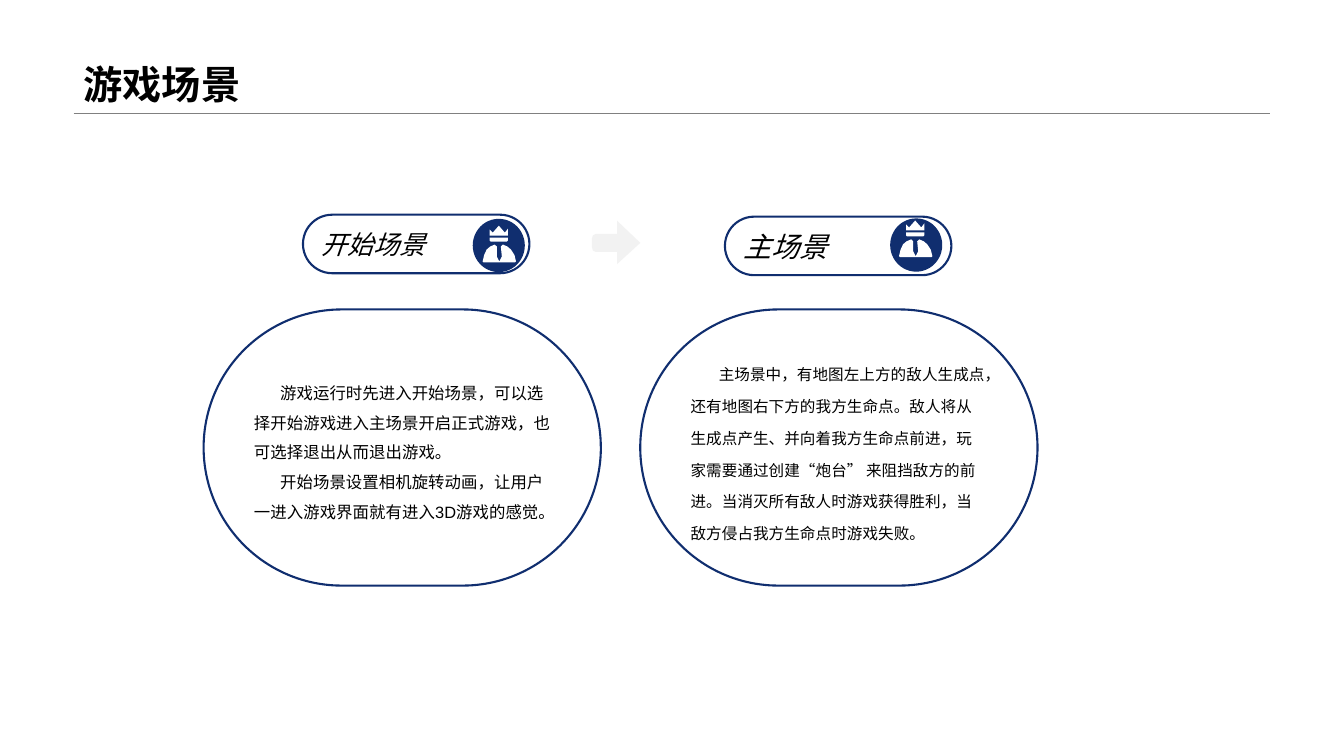
from lxml.etree import SubElement
from pptx import Presentation
from pptx.dml.color import RGBColor
from pptx.enum.shapes import MSO_CONNECTOR, MSO_SHAPE
from pptx.enum.text import MSO_ANCHOR, MSO_AUTO_SIZE, PP_ALIGN
from pptx.oxml.ns import qn
from pptx.util import Inches, Pt

NAVY = RGBColor(0x10, 0x2E, 0x6F)
BLACK = RGBColor(0, 0, 0)
WHITE = RGBColor(0xFF, 0xFF, 0xFF)
GRAY = RGBColor(0x80, 0x80, 0x80)
PALE = RGBColor(0xF2, 0xF2, 0xF2)
FONT = "Arial"

ARROW_GRID = (48, 43)
ARROW = [[(25, 0), (48, 22), (25, 43), (25, 31), (4, 31), (1, 29.5), (0, 26),
          (0, 18), (1, 14.5), (4, 13), (25, 13)]]
EMBLEM_GRID = (33, 37)
SUIT = [(12, 19), (14, 21), (14, 31), (16.5, 36), (19, 31), (18, 21), (20, 19),
        (24.5, 21), (28, 24), (31.5, 29.5), (33, 36), (32, 37), (1, 37),
        (0, 36), (1.5, 29.5), (4, 24), (7.5, 21)]
BAND = [(7, 12), (25, 12), (25, 15), (24, 16), (8, 16), (7, 15)]
CROWN = [(16, 0), (22, 7), (25, 3), (25, 10), (7, 10), (7, 4), (10, 7)]

SCENES = [
    dict(left=15.15, pill=(25, -34.3), badge=(75, 7), emblem=(19, 13),
         name="开始场景", name_size=18.5, size=11.7, spacing=1.5, indent=0.26,
         lines=["游戏运行时先进入开始场景，可以选择开始游戏进入主场景开启正式游戏，也可选择退出从而退出游戏。",
                "开始场景设置相机旋转动画，让用户一进入游戏界面就有进入3D游戏的感觉。"]),
    dict(left=47.64, pill=(21.3, -33.6), badge=(73, 3), emblem=(17, 4),
         name="主场景", name_size=20, size=11.1, spacing=1.7, indent=0.28,
         lines=["主场景中，有地图左上方的敌人生成点，还有地图右下方的我方生命点。敌人将从生成点产生、"
                "并向着我方生命点前进，玩家需要通过创建“炮台” 来阻挡敌方的前进。"
                "当消灭所有敌人时游戏获得胜利，当敌方侵占我方生命点时游戏失败。"]),
]


def part(box, x, y, w, h):
    """Return the box at the given percentages of another box."""
    left, top, width, height = box
    return (int(left + width * x / 100), int(top + height * y / 100),
            int(width * w / 100), int(height * h / 100))


def add_run(p, text, size, bold=False, italic=False):
    """Add one formatted run to a paragraph."""
    r = p.add_run()
    r.text = text
    r.font.name, r.font.size = FONT, Pt(size)
    r.font.bold, r.font.italic = bold, italic
    r.font.color.rgb = BLACK


def add_capsule(shapes, box):
    """Add a fully rounded navy outline and return its text frame."""
    sp = shapes.add_shape(MSO_SHAPE.ROUNDED_RECTANGLE, *box)
    sp.adjustments[0] = 0.5
    sp.shadow.inherit = False
    sp.fill.background()
    sp.line.color.rgb = NAVY
    sp.line.width = Pt(1.5)
    tf = sp.text_frame
    tf.word_wrap = True
    tf.vertical_anchor = MSO_ANCHOR.MIDDLE
    return tf


def add_outline(shapes, box, grid, contours, color):
    """Add a filled outline drawn on a grid that spans the box."""
    left, top, width, height = box
    scale = (width / grid[0] / 10, height / grid[1] / 10)
    pens = [[(x * 10, y * 10) for x, y in contour] for contour in contours]
    builder = shapes.build_freeform(*pens[0][0], scale=scale)
    builder.add_line_segments(pens[0][1:], close=True)
    for pen in pens[1:]:
        builder.move_to(*pen[0])
        builder.add_line_segments(pen[1:], close=True)
    sp = builder.convert_to_shape(left, top)
    sp.shadow.inherit = False
    sp.fill.solid()
    sp.fill.fore_color.rgb = color
    sp.line.fill.background()


def add_header(slide, box):
    """Place the title and the rule under it."""
    sp = slide.shapes.title
    sp.left, sp.top, sp.width, sp.height = box
    tf = sp.text_frame
    tf.auto_size = MSO_AUTO_SIZE.NONE
    tf.vertical_anchor = MSO_ANCHOR.BOTTOM
    p = tf.paragraphs[0]
    p.alignment, p.line_spacing = PP_ALIGN.LEFT, 0.9
    add_run(p, "游戏场景", 28, bold=True)
    left, top, width, height = box
    rule = slide.shapes.add_connector(MSO_CONNECTOR.STRAIGHT, left, top + height,
                                      left + width, top + height)
    rule.line.color.rgb = GRAY
    rule.line.width = Pt(0.25)
    SubElement(rule._element.spPr, qn("a:effectLst"))


def add_label(shapes, box, scene):
    """Place a scene name with its round emblem."""
    p = add_capsule(shapes, box).paragraphs[0]
    p.alignment = PP_ALIGN.LEFT
    add_run(p, scene["name"], scene["name_size"], italic=True)
    badge = part(box, *scene["badge"], 23, 91)
    sp = shapes.add_shape(MSO_SHAPE.OVAL, *badge)
    sp.shadow.inherit = False
    sp.fill.solid()
    sp.fill.fore_color.rgb = NAVY
    sp.line.fill.background()
    add_outline(shapes, part(badge, *scene["emblem"], 64, 69), EMBLEM_GRID,
                [SUIT, BAND, CROWN], WHITE)


def add_scene(shapes, box, scene):
    """Place a scene label and the panel that describes it."""
    add_label(shapes, part(box, *scene["pill"], 57, 21.2), scene)
    tf = add_capsule(shapes, box)
    for i, line in enumerate(scene["lines"]):
        p = tf.add_paragraph() if i else tf.paragraphs[0]
        p.alignment, p.line_spacing = PP_ALIGN.LEFT, scene["spacing"]
        p._p.get_or_add_pPr().set("indent", str(Inches(scene["indent"])))
        add_run(p, line, scene["size"])


def main():
    """Build the slide and save it."""
    prs = Presentation()
    prs.slide_width, prs.slide_height = Inches(13.33), Inches(7.5)
    page = (0, 0, prs.slide_width, prs.slide_height)
    slide = prs.slides.add_slide(prs.slide_layouts[5])
    add_header(slide, part(page, 5.48, 0, 89.05, 14.93))
    add_outline(slide.shapes, part(page, 44.04, 29.2, 3.6, 5.73), ARROW_GRID, ARROW, PALE)
    for scene in SCENES:
        add_scene(slide.shapes, part(page, scene["left"], 40.93, 29.56, 36.53), scene)
    prs.save("out.pptx")


if __name__ == "__main__":
    main()
